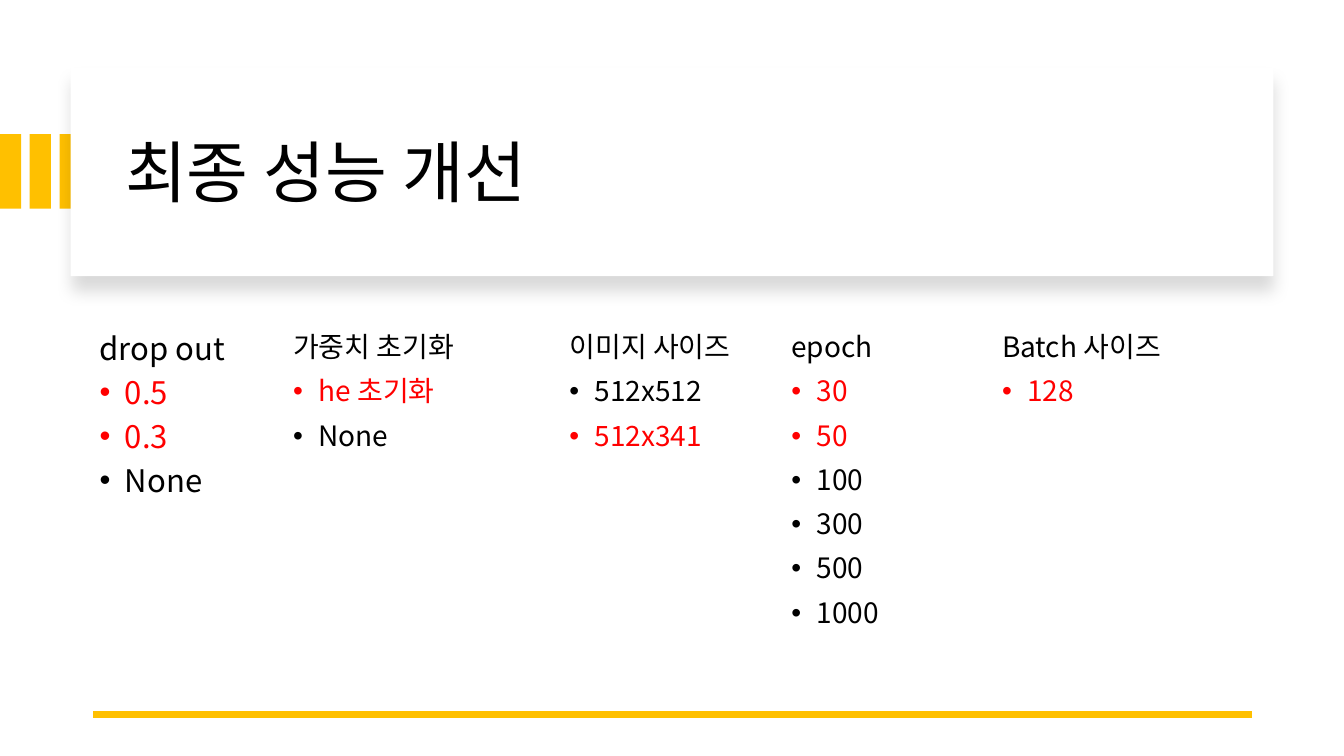
"""Build the slide listing the settings tried for the final performance gains."""
from lxml.etree import SubElement
from pptx import Presentation
from pptx.dml.color import RGBColor
from pptx.enum.shapes import MSO_CONNECTOR, MSO_SHAPE
from pptx.enum.text import MSO_ANCHOR, MSO_AUTO_SIZE, PP_ALIGN
from pptx.oxml.ns import qn
from pptx.util import Inches, Pt

FONT = "Noto Sans CJK KR"
COLORS = {"black": "000000", "red": "FF0000", "gold": "FFC000", "white": "FFFFFF"}
SETTINGS = [
    {"heading": "drop out", "left": 0.89, "top": 3.25, "width": 2.06, "height": 1.78,
     "size": 22.2, "line_spacing": 0.8, "anchor": MSO_ANCHOR.MIDDLE,
     "values": ["0.5", "0.3", "None"], "chosen": ["0.5", "0.3"]},
    {"heading": "가중치 초기화", "left": 2.81,
     "values": ["he 초기화", "None"], "chosen": ["he 초기화"]},
    {"heading": "이미지 사이즈", "left": 5.55,
     "values": ["512x512", "512x341"], "chosen": ["512x341"]},
    {"heading": "epoch", "left": 7.75,
     "values": ["30", "50", "100", "300", "500", "1000"], "chosen": ["30", "50"]},
    {"heading": "Batch 사이즈", "left": 9.84, "values": ["128"], "chosen": ["128"]},
]


def color(name):
    """Return the named colour."""
    return RGBColor.from_string(COLORS[name])


def write_text(para, text, size=20, tint="black", line_spacing=0.9, before=0, bullet=False):
    """Write formatted text into a paragraph."""
    para.alignment = PP_ALIGN.LEFT
    para.line_spacing = line_spacing
    para.space_before = Pt(before)
    if bullet:
        properties = para._p.get_or_add_pPr()
        properties.set("marL", str(Inches(0.25)))
        properties.set("indent", str(Inches(-0.25)))
        SubElement(properties, qn("a:buFont"), typeface="Arial")
        SubElement(properties, qn("a:buChar"), char="•")
    span = para.add_run()
    span.text = text
    span.font.size = Pt(size)
    span.font.name = FONT
    span.font.color.rgb = color(tint)
    SubElement(span._r.get_or_add_rPr(), qn("a:ea"), typeface=FONT)


def add_block(page, left, top, width, height, tint):
    """Add a plain filled rectangle."""
    block = page.shapes.add_shape(
        MSO_SHAPE.RECTANGLE, Inches(left), Inches(top), Inches(width), Inches(height))
    block.shadow.inherit = False
    block.fill.solid()
    block.fill.fore_color.rgb = color(tint)
    block.line.fill.background()
    return block


def add_soft_shadow(block):
    """Give a block a soft shadow that falls downwards."""
    effects = block._element.spPr.find(qn("a:effectLst"))
    shadow = SubElement(effects, qn("a:outerShdw"), blurRad=str(Pt(11)), dist=str(Pt(10)),
                        dir="5400000", algn="t", rotWithShape="0")
    shade = SubElement(shadow, qn("a:srgbClr"), val=COLORS["black"])
    SubElement(shade, qn("a:alpha"), val="15000")


def set_title(page, text):
    """Place and write the slide title."""
    title = page.shapes.title
    title.left, title.top = Inches(1.14), Inches(0.89)
    title.width, title.height = Inches(10.87), Inches(1.7)
    frame = title.text_frame
    frame.auto_size = MSO_AUTO_SIZE.NONE
    frame.vertical_anchor = MSO_ANCHOR.MIDDLE
    write_text(frame.paragraphs[0], text, size=48)


def add_setting(page, heading, values, chosen, left, top=3.26, width=3.2, height=4.77,
                size=20, line_spacing=0.9, anchor=MSO_ANCHOR.TOP):
    """Add a heading with its bulleted values, the chosen ones in red."""
    box = page.shapes.add_textbox(Inches(left), Inches(top), Inches(width), Inches(height))
    frame = box.text_frame
    frame.word_wrap = True
    frame.vertical_anchor = anchor
    write_text(frame.paragraphs[0], heading, size=size, line_spacing=line_spacing)
    for value in values:
        write_text(frame.add_paragraph(), value, size=size, line_spacing=line_spacing,
                   tint="red" if value in chosen else "black", before=10, bullet=True)


def add_rule(page, start, end, y):
    """Add the horizontal gold line."""
    rule = page.shapes.add_connector(
        MSO_CONNECTOR.STRAIGHT, Inches(start), Inches(y), Inches(end), Inches(y))
    rule.line.color.rgb = color("gold")
    rule.line.width = Pt(4.5)
    SubElement(rule._element.spPr, qn("a:effectLst"))


def main():
    """Build and save the deck."""
    deck = Presentation()
    deck.slide_width, deck.slide_height = Inches(13.33), Inches(7.5)
    page = deck.slides.add_slide(deck.slide_layouts[5])
    for index in range(3):
        add_block(page, 0.295 * index, 1.33, 0.21, 0.74, "gold")
    add_soft_shadow(add_block(page, 0.7, 0.67, 11.93, 2.07, "white"))
    set_title(page, "최종 성능 개선")
    tree = page.shapes._spTree
    tree.append(page.shapes.title._element)
    add_rule(page, 12.42, 0.92, 7.09)
    for setting in SETTINGS:
        add_setting(page, **setting)
    deck.save("out.pptx")


if __name__ == "__main__":
    main()
